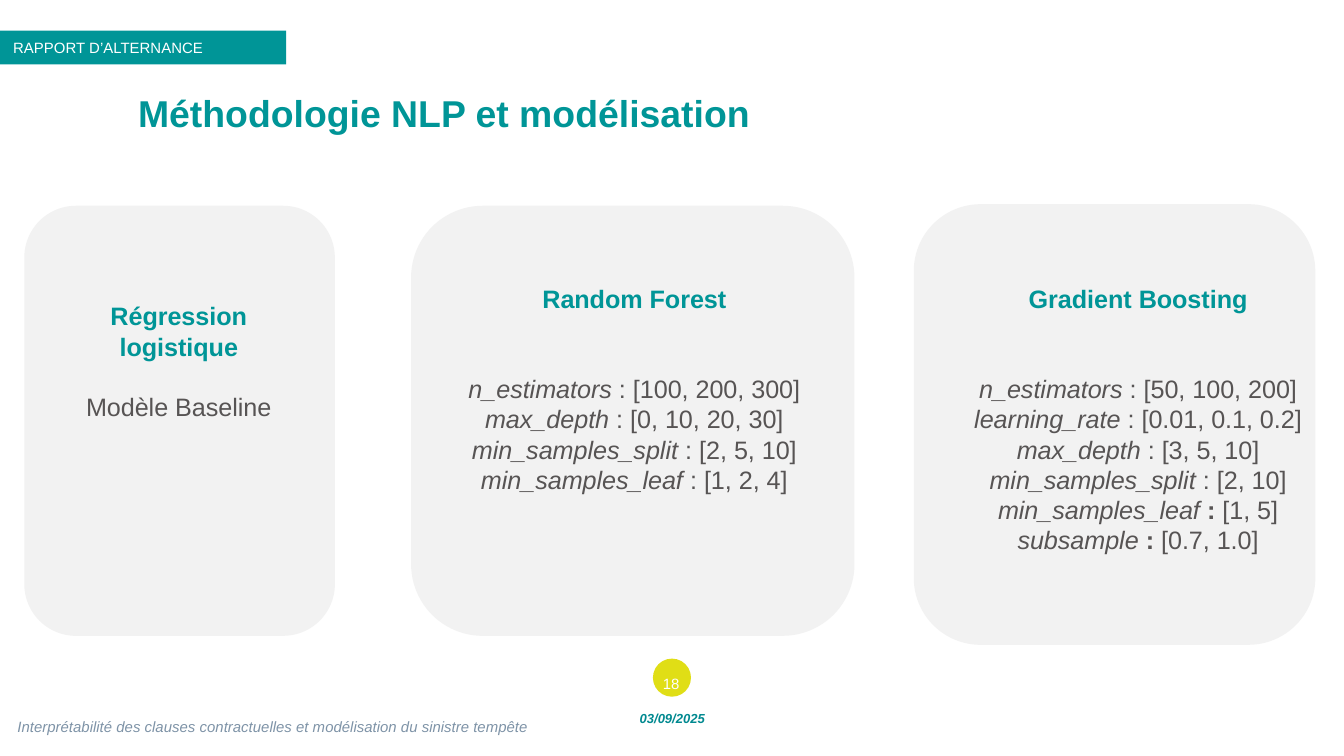
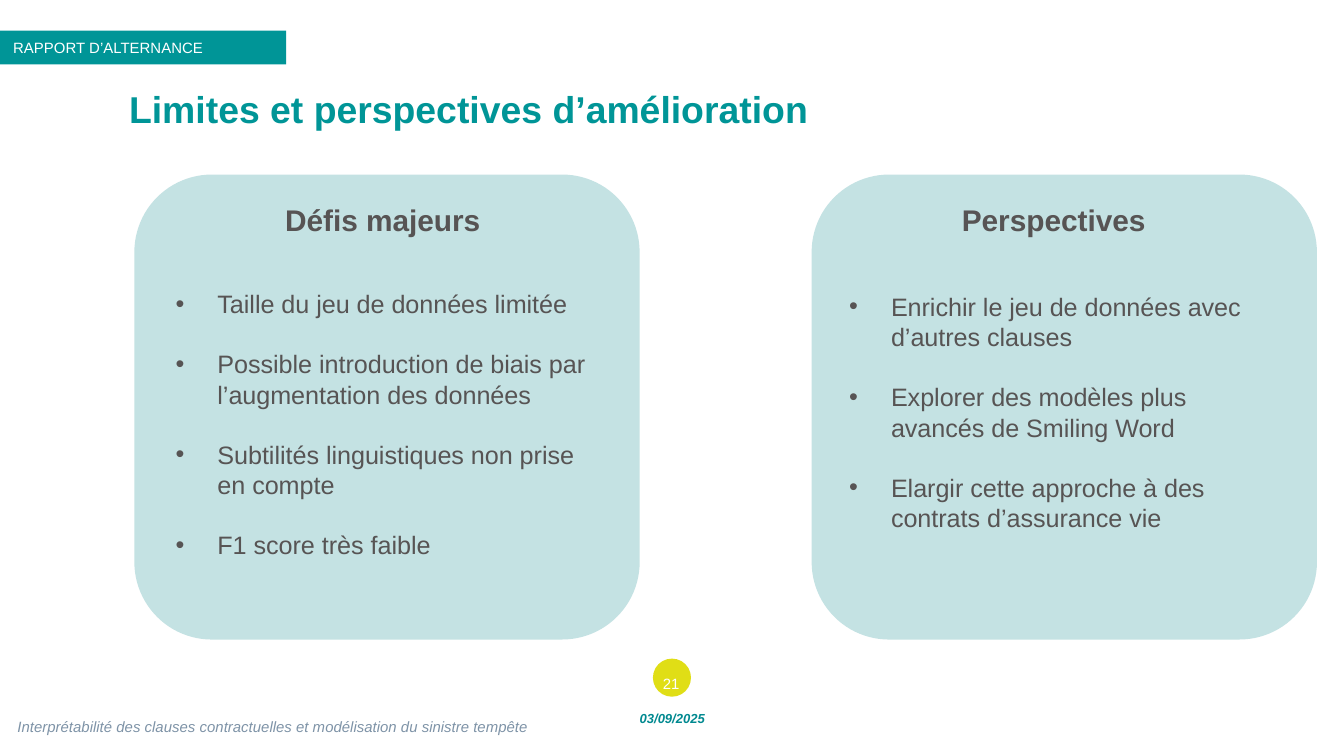
from dataclasses import dataclass
from typing import NamedTuple

from lxml.etree import SubElement
from pptx import Presentation
from pptx.dml.color import RGBColor
from pptx.enum.shapes import MSO_SHAPE as Shape
from pptx.enum.text import MSO_ANCHOR as Anchor, PP_ALIGN as Align
from pptx.oxml.ns import qn
from pptx.util import Cm, Pt


@dataclass(frozen=True)
class Theme:
    font: str = "Arial"
    teal: str = "009597"
    date: str = "008990"
    lime: str = "E0DE16"
    grey: str = "575454"
    slate: str = "7E93A7"
    white: str = "FFFFFF"
    pale_grey: str = "F2F2F2"
    pale_teal: str = "C4E2E3"
    title_size: float = 20
    heading_size: float = 16
    body_size: float = 13.5
    small_size: float = 8
    date_size: float = 7
    line_gap: float = 16.1


class Box(NamedTuple):
    x: float
    y: float
    w: float
    h: float


class Param(NamedTuple):
    name: str
    values: str
    bold_colon: bool = False


@dataclass(frozen=True)
class Model:
    name: str
    card: Box
    text: Box
    params: tuple[Param, ...] = ()
    note: str = ""


@dataclass(frozen=True)
class Panel:
    heading: str
    card_x: float
    heading_x: float
    bullets: Box
    items: tuple[str, ...]


T = Theme()
WIDTH, HEIGHT = 25.4, 14.29
DOT = 0.72
BULLET_INDENT = 0.79
THIN = 0.1

MODELS = (
    Model("Régression logistique", Box(0.46, 3.89, 5.87, 8.13),
          Box(0.89, 5.56, 4.98, 3.15), note="Modèle Baseline"),
    Model("Random Forest", Box(7.77, 3.89, 8.38, 8.13), Box(8.03, 5.23, 7.92, 5.46), (
        Param("n_estimators", "[100, 200, 300]"),
        Param("max_depth", "[0, 10, 20, 30]"),
        Param("min_samples_split", "[2, 5, 10]"),
        Param("min_samples_leaf", "[1, 2, 4]"),
    )),
    Model("Gradient Boosting", Box(17.27, 3.86, 7.59, 8.33), Box(17.55, 5.23, 7.92, 6.6), (
        Param("n_estimators", "[50, 100, 200]"),
        Param("learning_rate", "[0.01, 0.1, 0.2]"),
        Param("max_depth", "[3, 5, 10]"),
        Param("min_samples_split", "[2, 10]"),
        Param("min_samples_leaf", "[1, 5]", True),
        Param("subsample", "[0.7, 1.0]", True),
    )),
)

PANELS = (
    Panel("Défis majeurs", 2.54, 5.0, Box(3.07, 5.33, 8.64, 5.46), (
        "Taille du jeu de données limitée",
        "Possible introduction de biais par l’augmentation des données",
        "Subtilités linguistiques non prise en compte",
        "F1 score très faible",
    )),
    Panel("Perspectives", 15.34, 17.68, Box(15.8, 5.38, 8.64, 6.02), (
        "Enrichir le jeu de données avec d’autres clauses",
        "Explorer des modèles plus avancés de Smiling Word",
        "Elargir cette approche à des contrats d’assurance vie",
    )),
)


def rgb(color: str) -> RGBColor:
    return RGBColor.from_string(color)


def add_shape(s, kind: Shape, box: Box, fill: str):
    sp = s.shapes.add_shape(kind, *map(Cm, box))
    sp.shadow.inherit = False
    sp.fill.solid()
    sp.fill.fore_color.rgb = rgb(fill)
    sp.line.fill.background()
    return sp


def add_box(s, box: Box, anchor: Anchor = Anchor.TOP, inset: float | None = None):
    tf = s.shapes.add_textbox(*map(Cm, box)).text_frame
    tf.word_wrap = True
    tf.vertical_anchor = anchor
    if inset is not None:
        tf.margin_left = tf.margin_right = tf.margin_top = tf.margin_bottom = Cm(inset)
    return tf


def write(p, text: str, *, size: float = T.body_size, color: str = T.grey,
          bold: bool = False, italic: bool = False) -> None:
    r = p.add_run()
    r.text = text
    r.font.name = T.font
    r.font.size = Pt(size)
    r.font.color.rgb = rgb(color)
    r.font.bold = bold
    r.font.italic = italic


def next_paragraph(tf, align: Align = Align.LEFT, before: float = 0):
    p = tf.add_paragraph() if tf.paragraphs[0].runs else tf.paragraphs[0]
    p.alignment = align
    p.space_before = Pt(before)
    return p


def add_bullet(p) -> None:
    ppr = p._p.get_or_add_pPr()
    ppr.set("marL", str(Cm(BULLET_INDENT)))
    ppr.set("indent", str(-Cm(BULLET_INDENT)))
    SubElement(ppr, qn("a:buFont"), typeface=T.font)
    SubElement(ppr, qn("a:buChar"), char="•")


def add_page(prs, title: str, title_box: Box, number: int):
    s = prs.slides.add_slide(prs.slide_layouts[6])
    add_shape(s, Shape.OVAL, Box((WIDTH - DOT) / 2, 12.45, DOT, DOT), T.lime)

    tf = add_box(s, Box(11.79, 13.34, 1.83, 0.46), Anchor.MIDDLE, THIN)
    write(next_paragraph(tf, Align.CENTER), "03/09/2025",
          size=T.date_size, color=T.date, bold=True, italic=True)

    p = next_paragraph(add_box(s, title_box, inset=THIN))
    p.line_spacing = 0.85
    write(p, title, size=T.title_size, color=T.teal, bold=True)

    tf = add_box(s, Box(0.23, 13.41, 10.82, 0.64), Anchor.MIDDLE, THIN)
    write(next_paragraph(tf),
          "Interprétabilité des clauses contractuelles et modélisation du sinistre tempête",
          size=T.small_size, color=T.slate, italic=True)

    tf = add_box(s, Box(12.09, 12.55, 1.19, 0.76), Anchor.MIDDLE)
    write(next_paragraph(tf, Align.CENTER), str(number), size=T.small_size, color=T.white)

    tf = add_shape(s, Shape.RECTANGLE, Box(0, 0.58, 5.41, 0.64), T.teal).text_frame
    tf.vertical_anchor = Anchor.MIDDLE
    write(next_paragraph(tf), "RAPPORT D’ALTERNANCE", size=T.small_size, color=T.white)
    return s


def add_model(s, model: Model) -> None:
    add_shape(s, Shape.ROUNDED_RECTANGLE, model.card, T.pale_grey)
    tf = add_box(s, model.text)
    write(next_paragraph(tf, Align.CENTER), model.name, color=T.teal, bold=True)
    if model.note:
        write(next_paragraph(tf, Align.CENTER, T.line_gap), model.note)
    for i, param in enumerate(model.params):
        p = next_paragraph(tf, Align.CENTER, 0 if i else 2 * T.line_gap)
        write(p, param.name, italic=True)
        write(p, " : ", bold=param.bold_colon)
        write(p, param.values)


def add_panel(s, panel: Panel) -> None:
    add_shape(s, Shape.ROUNDED_RECTANGLE, Box(panel.card_x, 3.3, 9.55, 8.79), T.pale_teal)
    tf = add_box(s, Box(panel.heading_x, 3.68, 4.47, 0.94))
    write(next_paragraph(tf, Align.CENTER), panel.heading, size=T.heading_size, bold=True)
    tf = add_box(s, panel.bullets)
    for i, item in enumerate(panel.items):
        p = next_paragraph(tf, before=T.line_gap if i else 0)
        add_bullet(p)
        write(p, item)


def main() -> None:
    prs = Presentation()
    prs.slide_width, prs.slide_height = Cm(WIDTH), Cm(HEIGHT)

    s = add_page(prs, "Méthodologie NLP et modélisation", Box(2.51, 1.73, 22.35, 1.75), 18)
    for model in MODELS:
        add_model(s, model)

    s = add_page(prs, "Limites et perspectives d’amélioration", Box(2.34, 1.65, 22.35, 1.14), 21)
    for panel in PANELS:
        add_panel(s, panel)

    prs.save("out.pptx")


if __name__ == "__main__":
    main()
